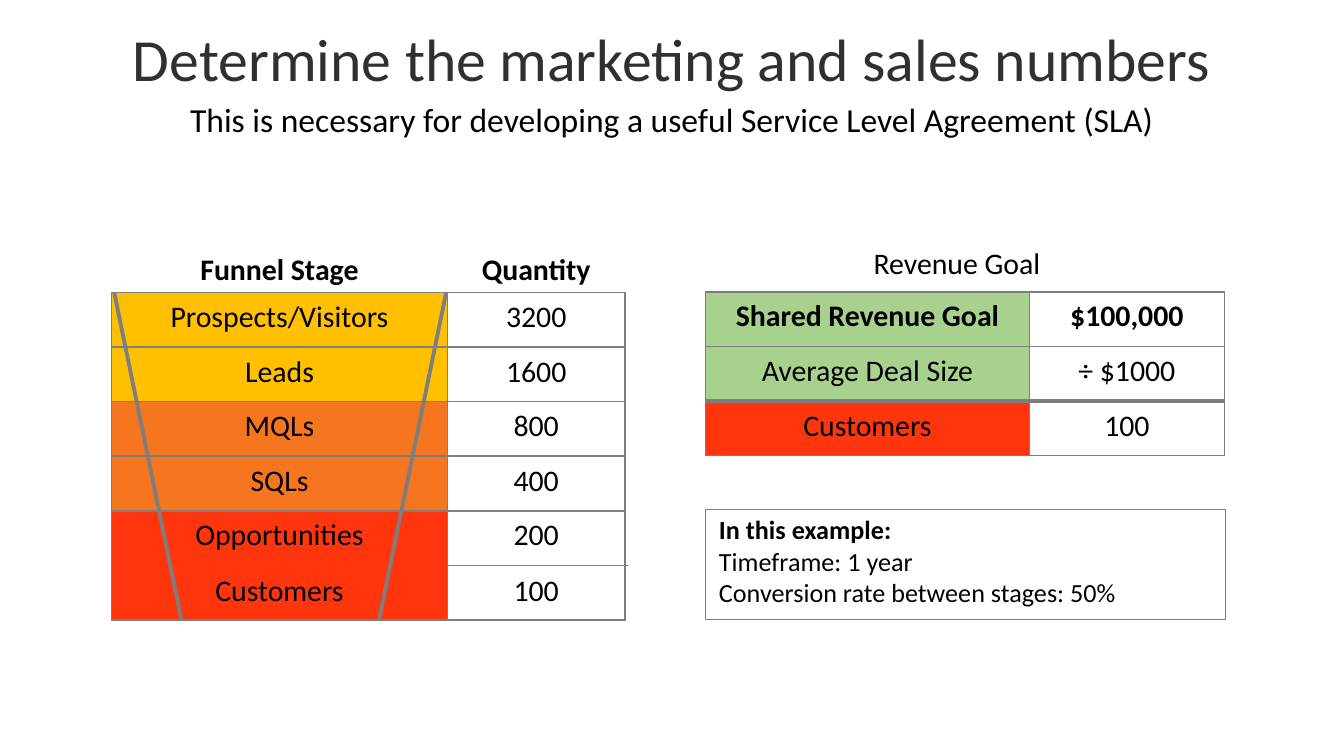
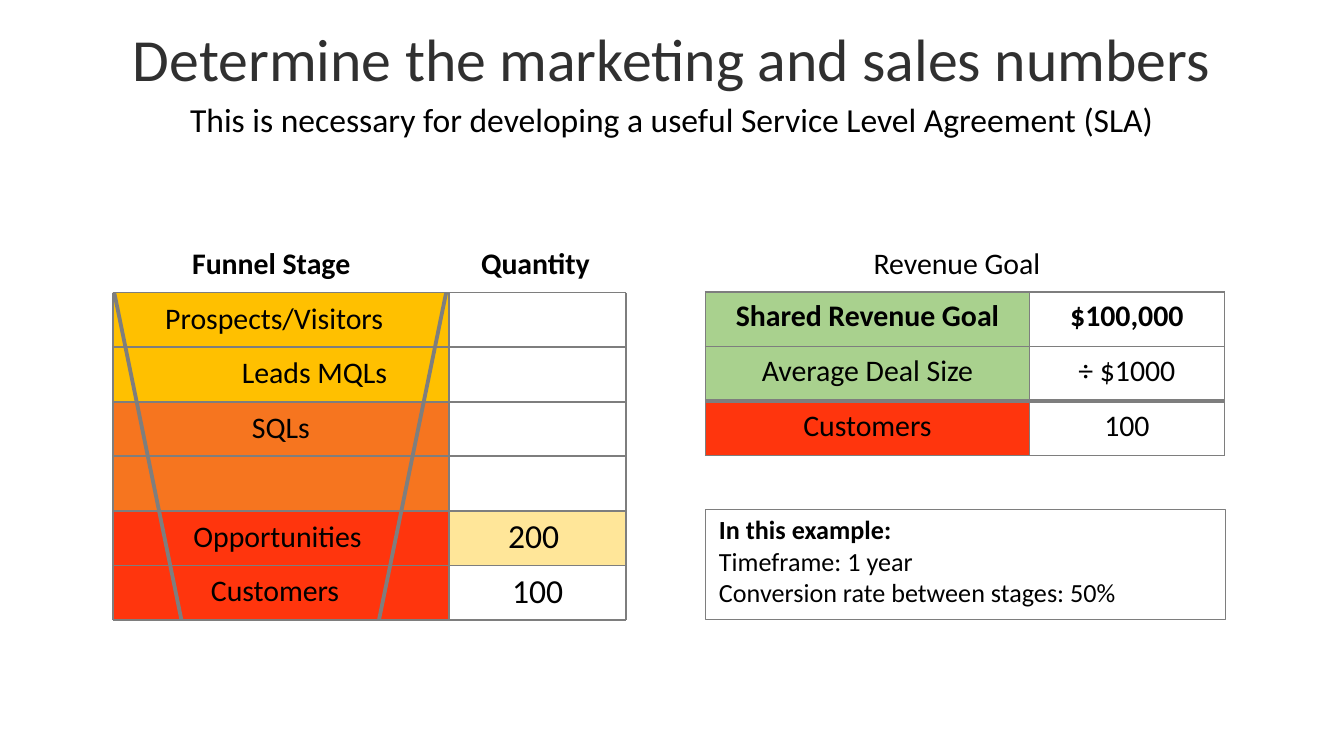
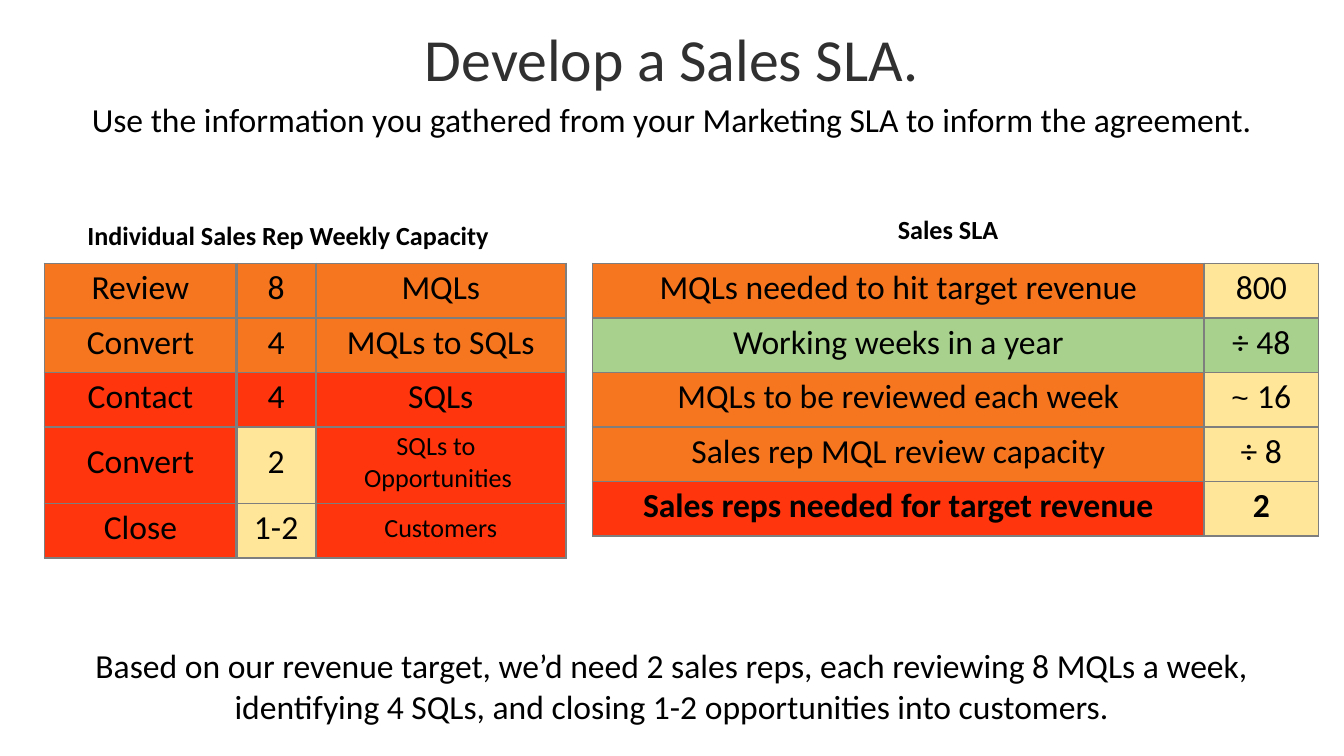
"""Builds three slides on marketing and sales numbers and the sales SLA."""
from dataclasses import dataclass
from typing import NamedTuple, Optional

from lxml.etree import SubElement
from pptx import Presentation
from pptx.dml.color import RGBColor
from pptx.enum.shapes import MSO_CONNECTOR as Connector, MSO_SHAPE as Shape
from pptx.enum.text import MSO_ANCHOR as Anchor, MSO_AUTO_SIZE as AutoSize, PP_ALIGN as Align
from pptx.oxml.ns import qn
from pptx.util import Emu, Inches, Pt

WIDTH, HEIGHT = Inches(10), Inches(5.625)
FONT = "Calibri"
BLACK, TITLE, GREY = "000000", "303030", "7E7E7E"
YELLOW, ORANGE, RED, GREEN, CREAM = "FFC000", "F6751F", "FF350D", "A9D18E", "FFE699"
NO_STYLE = "{2D5ABB26-0587-4C30-8999-92F81FD0307C}"
ROW = 7.22
STAGE_LEFT, STAGE_TOP, STAGE_WIDTH, COUNT_WIDTH = 8.4, 38.7, 25, 13.2
STAGE_FILLS = [YELLOW, YELLOW, ORANGE, ORANGE, RED, RED]
STAGE_BOTTOM = STAGE_TOP + len(STAGE_FILLS) * ROW
FUNNEL_RIGHT = STAGE_LEFT + STAGE_WIDTH + COUNT_WIDTH
NUMBERS_TITLE = "Determine the marketing and sales numbers"
NUMBERS_SUBTITLE = "This is necessary for developing a useful Service Level Agreement (SLA)"


class Box(NamedTuple):
    """A place given in percent of the slide's width and height."""
    x: float
    y: float
    w: float
    h: float


class Label(NamedTuple):
    """A one-line text box."""
    text: str
    box: Box
    size: float = 16
    bold: bool = False


class Cell(NamedTuple):
    """A table cell, with an optional lead-in set in Arial."""
    text: str
    fill: Optional[str] = None
    bold: bool = False
    size: Optional[float] = None
    top: Optional[float] = None
    align: Align = Align.CENTER
    indent: float = 0
    hang: float = 0
    spacing: Optional[float] = None
    lead: str = ""


@dataclass
class Grid:
    """A table with columns and rows in percent of the slide."""
    x: float
    y: float
    cols: list[float]
    rows: list[float]
    cells: list[list[Cell]]
    size: float = 16
    top: float = 0.05
    header: bool = False
    rule_below: Optional[int] = None
    rule_after: Optional[int] = None


REVENUE = Grid(52.5, 38.6, [24.1, 14.5], [ROW] * 3, [
    [Cell("Shared Revenue Goal", GREEN, True), Cell("$100,000", bold=True)],
    [Cell("Average Deal Size", GREEN), Cell("÷ $1000")],
    [Cell("Customers", RED), Cell("100")],
], rule_below=1)

FUNNEL = Grid(8.3, 32.7, [STAGE_WIDTH, COUNT_WIDTH], [6] + [ROW] * 4 + [2 * ROW], [
    [Cell(head, bold=True, top=0, spacing=1.12) for head in ("Funnel Stage", "Quantity")],
    *([Cell(stage, fill), Cell(count)] for stage, count, fill in zip(
        ["Prospects/Visitors", "Leads", "MQLs", "SQLs", "Opportunities\nCustomers"],
        ["3200", "1600", "800", "400", "200\n100"], STAGE_FILLS)),
], header=True)

CAPACITY = Grid(3.3, 34.85, [14.3, 5.9, 18.6], [ROW] * 3 + [10.1, ROW], [
    [Cell(text, ORANGE) for text in ("Review", "8", "MQLs")],
    [Cell(text, ORANGE) for text in ("Convert", "4", "MQLs to SQLs")],
    [Cell(text, RED) for text in ("Contact", "4", "SQLs")],
    [Cell("Convert", RED, top=0.11), Cell("2", CREAM, top=0.11),
     Cell("SQLs to Opportunities", RED, size=14, align=Align.LEFT, indent=0.36, hang=0.24)],
    [Cell("Close", RED), Cell("1-2", CREAM), Cell("Customers", RED, size=14, top=0.07)],
], size=18, top=0.03, rule_after=0)

SALES_SLA = Grid(44.1, 34.85, [45.5, 8.5], [ROW] * 5, [
    [Cell("MQLs needed to hit target revenue", ORANGE), Cell("800", CREAM)],
    [Cell("Working weeks in a year", GREEN), Cell("÷ 48", GREEN)],
    [Cell("MQLs to be reviewed each week", ORANGE), Cell("16", CREAM, lead="~ ")],
    [Cell("Sales rep MQL review capacity", ORANGE), Cell("÷ 8", CREAM)],
    [Cell("Sales reps needed for target revenue", RED, True), Cell("2", CREAM, True)],
], size=18, top=0.03)

FUNNEL_LABELS = [
    Label("Funnel Stage", Box(14.2, 32.2, 13.4, 5.2), bold=True),
    Label("Quantity", Box(35.7, 32.2, 8.7, 5.2), bold=True),
    Label("Opportunities", Box(14.3, 68.3, 13.3, 5.2)),
    Label("200", Box(37.7, 67.9, 4.8, 5.9), 18),
    Label("Customers", Box(15.6, 75.4, 10.6, 5.2)),
    Label("100", Box(38, 75.2, 4.1, 5.9), 18),
]
SLA_LABELS = [
    Label("Individual Sales Rep Weekly Capacity", Box(6.4, 28.8, 32.8, 4.6), 14, True),
    Label("Sales SLA", Box(66.7, 28.1, 8.9, 4.6), 14, True),
]


def across(share: float) -> Emu:
    """Turns percent of the width into a length."""
    return Emu(round(WIDTH * share / 100))


def down(share: float) -> Emu:
    """Turns percent of the height into a length."""
    return Emu(round(HEIGHT * share / 100))


def place(box: Box) -> tuple[Emu, Emu, Emu, Emu]:
    """Gives left, top, width and height of a box."""
    return across(box.x), down(box.y), across(box.w), down(box.h)


def paint(target, color: str) -> None:
    """Makes a fill solid in a hex colour."""
    target.solid()
    target.fore_color.rgb = RGBColor.from_string(color)


def inset(tf, top: float) -> None:
    """Leaves only a top margin and wraps the text."""
    tf.margin_left = tf.margin_right = tf.margin_bottom = 0
    tf.margin_top = Inches(top)
    tf.word_wrap, tf.auto_size, tf.vertical_anchor = True, AutoSize.NONE, Anchor.TOP


def write(tf, text: str, *, size: float = 16, bold: bool = False, color: str = BLACK,
          font: str = FONT, align: Align = Align.LEFT, before: float = 0,
          spacing: Optional[float] = None, indent: float = 0, hang: float = 0,
          joined: bool = False) -> None:
    """Adds a formatted paragraph, or a run joined to the last one."""
    p = tf.paragraphs[-1]
    if p.runs and not joined:
        p = tf.add_paragraph()
    p.alignment, p.space_before, p.line_spacing = align, Pt(before), spacing
    pPr = p._p.get_or_add_pPr()
    pPr.set("marL", str(Inches(indent)))
    pPr.set("indent", str(Inches(hang)))
    r = p.add_run()
    r.text = text
    r.font.size, r.font.bold, r.font.name = Pt(size), bold, font
    r.font.color.rgb = RGBColor.from_string(color)


def add_slide(prs, title: str, subtitle: str, left: float):
    """Adds a slide whose centred title carries a subtitle."""
    s = prs.slides.add_slide(prs.slide_layouts[5])
    sp = s.shapes.title
    sp.left, sp.top, sp.width, sp.height = place(Box(left, 1.24, 100 - 2 * left, 17.4))
    inset(sp.text_frame, 0.09)
    write(sp.text_frame, title, size=32, color=TITLE, align=Align.CENTER)
    write(sp.text_frame, subtitle, size=18, align=Align.CENTER, before=3)
    return s


def add_box(s, box: Box):
    """Adds an empty text box and returns its text frame."""
    tf = s.shapes.add_textbox(*place(box)).text_frame
    inset(tf, 0.01)
    return tf


def add_labels(s, labels: list[Label]) -> None:
    """Adds one text box for each label."""
    for label in labels:
        write(add_box(s, label.box), label.text, size=label.size, bold=label.bold, indent=0.01)


def add_rect(s, box: Box, fill: Optional[str] = None, line: Optional[str] = None):
    """Adds a plain rectangle."""
    sp = s.shapes.add_shape(Shape.RECTANGLE, *place(box))
    sp.shadow.inherit = False
    for target, color in ((sp.fill, fill), (sp.line.fill, line)):
        if color:
            paint(target, color)
        else:
            target.background()
    return sp


def add_line(s, x1: float, y1: float, x2: float, y2: float, width: float = 1) -> None:
    """Adds a grey line between two points."""
    c = s.shapes.add_connector(Connector.STRAIGHT, across(x1), down(y1), across(x2), down(y2))
    paint(c.line.fill, GREY)
    c.line.width = Pt(width)
    SubElement(c._element.spPr, qn("a:effectLst"))


def set_borders(cell, widths: dict[str, float]) -> None:
    """Draws the four borders, leaving out those of width zero."""
    tcPr = cell._tc.get_or_add_tcPr()
    for i, side in enumerate("LRTB"):
        ln = SubElement(tcPr, qn(f"a:ln{side}"), w=str(Pt(widths[side])))
        if widths[side]:
            SubElement(SubElement(ln, qn("a:solidFill")), qn("a:srgbClr"), val=GREY)
        else:
            SubElement(ln, qn("a:noFill"))
        tcPr.insert(i, ln)


def border_widths(grid: Grid, row: int, col: int) -> dict[str, float]:
    """Works out the border widths of one cell."""
    if grid.header and row == 0:
        return {"L": 0, "R": 0, "T": 0, "B": 1}
    widths = dict.fromkeys("LRTB", 1.0)
    if grid.rule_below is not None and row in (grid.rule_below, grid.rule_below + 1):
        widths["B" if row == grid.rule_below else "T"] = 2.25
    if grid.rule_after is not None and col in (grid.rule_after, grid.rule_after + 1):
        widths["R" if col == grid.rule_after else "L"] = 1.5
    return widths


def fill_cell(cell, data: Cell, grid: Grid) -> None:
    """Gives a table cell its fill, margins and text."""
    if data.fill:
        paint(cell.fill, data.fill)
    else:
        cell.fill.background()
    cell.margin_left = cell.margin_right = cell.margin_bottom = 0
    cell.margin_top = Inches(grid.top if data.top is None else data.top)
    cell.vertical_anchor = Anchor.TOP
    tf = cell.text_frame
    if data.lead:
        write(tf, data.lead, size=16, font="Arial", align=data.align)
    for i, text in enumerate(data.text.split("\n")):
        write(tf, text, size=data.size or grid.size, bold=data.bold, align=data.align,
              before=10 if i else 0, spacing=data.spacing, indent=data.indent,
              hang=data.hang, joined=bool(data.lead))


def add_grid(s, grid: Grid) -> None:
    """Adds a table from its description."""
    box = Box(grid.x, grid.y, sum(grid.cols), sum(grid.rows))
    table = s.shapes.add_table(len(grid.rows), len(grid.cols), *place(box)).table
    table.first_row = table.horz_banding = False
    table._tbl.tblPr.find(qn("a:tableStyleId")).text = NO_STYLE
    for column, width in zip(table.columns, grid.cols):
        column.width = across(width)
    for row, height in zip(table.rows, grid.rows):
        row.height = down(height)
    for i, row in enumerate(grid.cells):
        for j, data in enumerate(row):
            fill_cell(table.cell(i, j), data, grid)
            set_borders(table.cell(i, j), border_widths(grid, i, j))


def add_goal_side(s) -> None:
    """Adds the revenue goal, the example and the funnel's slanted sides."""
    add_labels(s, [Label("Revenue Goal", Box(64.9, 32.2, 14, 5.2))])
    add_grid(s, REVENUE)
    tf = add_rect(s, Box(52.5, 67.4, 38.7, 14.6), line=GREY).text_frame
    inset(tf, 0.03)
    write(tf, "In this example:", size=14, bold=True, indent=0.1)
    for text in ("Timeframe: 1 year", "Conversion rate between stages: 50%"):
        write(tf, text, size=14, indent=0.1)
    for top, bottom in ((8.5, 13.5), (33.2, 28.2)):
        add_line(s, top, STAGE_TOP, bottom, STAGE_BOTTOM, 2.04)


def add_filled_funnel(prs) -> None:
    """Adds the slide with every funnel quantity."""
    s = add_slide(prs, NUMBERS_TITLE, NUMBERS_SUBTITLE, 7.3)
    y = STAGE_BOTTOM - ROW
    add_line(s, 8.3, y, FUNNEL_RIGHT + 0.1, y)
    add_grid(s, FUNNEL)
    add_goal_side(s)


def add_open_funnel(prs) -> None:
    """Adds the slide with the funnel still to be filled in."""
    s = add_slide(prs, NUMBERS_TITLE, NUMBERS_SUBTITLE, 7.3)
    count_left = STAGE_LEFT + STAGE_WIDTH
    for i, fill in enumerate(STAGE_FILLS):
        add_rect(s, Box(STAGE_LEFT, STAGE_TOP + i * ROW, STAGE_WIDTH, ROW), fill)
    add_rect(s, Box(count_left, STAGE_TOP + 4 * ROW, COUNT_WIDTH, ROW), CREAM)
    for i in range(len(STAGE_FILLS) + 1):
        y = STAGE_TOP + i * ROW
        add_line(s, STAGE_LEFT, y, FUNNEL_RIGHT, y)
    for x in (STAGE_LEFT, count_left, FUNNEL_RIGHT):
        add_line(s, x, STAGE_TOP, x, STAGE_BOTTOM)
    add_labels(s, FUNNEL_LABELS)
    tf = add_box(s, Box(12.2, 37, 17.4, 29.3))
    write(tf, "Prospects/Visitors Leads MQLs", spacing=1.52, indent=0.58, hang=-0.57)
    write(tf, "SQLs", align=Align.CENTER, before=10)
    add_goal_side(s)


def add_sales_sla(prs) -> None:
    """Adds the slide that works out the sales reps needed."""
    s = add_slide(prs, "Develop a Sales SLA.", "Use the information you gathered from your "
                  "Marketing SLA to inform the agreement.", 4.5)
    add_labels(s, SLA_LABELS)
    add_grid(s, CAPACITY)
    add_grid(s, SALES_SLA)
    tf = add_box(s, Box(3.3, 85.2, 93.4, 11.2))
    for text in ("Based on our revenue target, we’d need 2 sales reps, each reviewing 8 MQLs a week,",
                 "identifying 4 SQLs, and closing 1-2 opportunities into customers."):
        write(tf, text, size=18, align=Align.CENTER)


def main() -> None:
    """Builds and saves the presentation."""
    prs = Presentation()
    prs.slide_width, prs.slide_height = WIDTH, HEIGHT
    add_filled_funnel(prs)
    add_open_funnel(prs)
    add_sales_sla(prs)
    prs.save("out.pptx")


if __name__ == "__main__":
    main()
